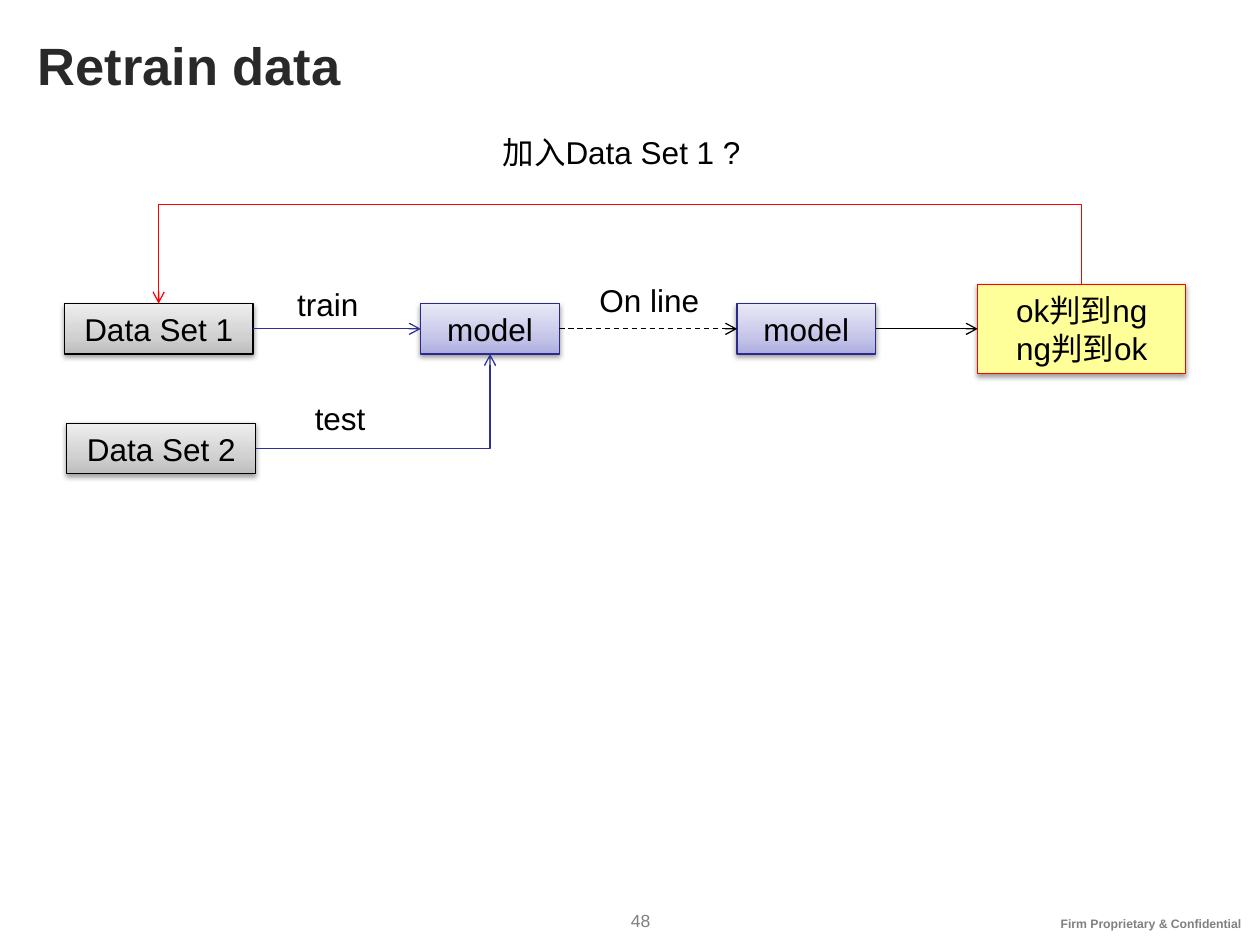
from dataclasses import dataclass

from lxml import etree
from pptx import Presentation
from pptx.dml.color import RGBColor
from pptx.enum.dml import MSO_LINE
from pptx.enum.shapes import MSO_CONNECTOR, MSO_SHAPE
from pptx.enum.text import MSO_ANCHOR, PP_ALIGN
from pptx.oxml import parse_xml
from pptx.oxml.ns import qn
from pptx.util import Inches, Pt

CENTER, LEFT = PP_ALIGN.CENTER, PP_ALIGN.LEFT
TOP_ANCHOR, MIDDLE = MSO_ANCHOR.TOP, MSO_ANCHOR.MIDDLE
STRAIGHT, ELBOW = MSO_CONNECTOR.STRAIGHT, MSO_CONNECTOR.ELBOW
RECTANGLE, DASH = MSO_SHAPE.RECTANGLE, MSO_LINE.DASH
TOP, LEFT_SIDE, BOTTOM, RIGHT_SIDE = range(4)
DRAWING = "http://schemas.openxmlformats.org/drawingml/2006/main"


@dataclass(frozen=True)
class Theme:
    """Colours, font and type sizes of the slide."""
    font: str = "Arial"
    title: str = "292929"
    body: str = "000000"
    muted: str = "808080"
    data_line: str = "000000"
    model_line: str = "2A2A89"
    flow: str = "2F2F98"
    alert: str = "FF0000"
    data_fill: tuple = ("BDBDBD", "D1D1D1", "EEEEEE")
    model_fill: tuple = ("ADADE1", "C6C6E9", "E9E9F7")
    result_fill: tuple = ("FFFF99",)
    title_size: int = 30
    body_size: int = 18
    number_size: int = 10
    footer_size: int = 7
    line_width: float = 0.75


THEME = Theme()


def write(shape, lines, size=THEME.body_size, color=THEME.body, bold=False,
          align=LEFT, anchor=TOP_ANCHOR, wrap=True):
    """Fill a shape with one paragraph per line."""
    frame = shape.text_frame
    frame.word_wrap = wrap
    frame.vertical_anchor = anchor
    frame.text = "\n".join(lines)
    for para in frame.paragraphs:
        para.alignment = align
        para.font.name = THEME.font
        para.font.size = Pt(size)
        para.font.bold = bold
        para.font.color.rgb = RGBColor.from_string(color)


def add_text(page, box, text, **style):
    """Add a text box at box (left, top, width, height)."""
    write(page.shapes.add_textbox(*map(Inches, box)), [text], **style)


def paint(shape, colors):
    """Fill a shape with one colour or an upward three-stop gradient."""
    if len(colors) == 1:
        shape.fill.solid()
        shape.fill.fore_color.rgb = RGBColor.from_string(colors[0])
        return
    stops = "".join(f'<a:gs pos="{position}"><a:srgbClr val="{color}"/></a:gs>'
                    for position, color in zip((0, 35000, 100000), colors))
    gradient = parse_xml(f'<a:gradFill xmlns:a="{DRAWING}" rotWithShape="1"><a:gsLst>{stops}'
                         '</a:gsLst><a:lin ang="16200000" scaled="0"/></a:gradFill>')
    shape.element.spPr.find(qn("a:prstGeom")).addnext(gradient)


def add_node(page, box, lines, colors, line_color):
    """Add a shadowed rectangle of the flow."""
    node = page.shapes.add_shape(RECTANGLE, *map(Inches, box))
    paint(node, colors)
    node.line.color.rgb = RGBColor.from_string(line_color)
    node.line.width = Pt(THEME.line_width)
    node.shadow.inherit = False
    node.element.spPr.find(qn("a:effectLst")).append(parse_xml(
        f'<a:outerShdw xmlns:a="{DRAWING}" blurRad="{Pt(3.1)}" dist="{Pt(1.6)}" dir="5400000" '
        'rotWithShape="0"><a:srgbClr val="000000"><a:alpha val="38000"/></a:srgbClr></a:outerShdw>'))
    write(node, lines, align=CENTER, anchor=MIDDLE)
    return node


def add_arrow(page, kind, start, start_side, end, end_side, color, dash=None):
    """Join two nodes with an open-headed arrow."""
    arrow = page.shapes.add_connector(kind, 0, 0, 0, 0)
    arrow.begin_connect(start, start_side)
    arrow.end_connect(end, end_side)
    arrow.line.color.rgb = RGBColor.from_string(color)
    arrow.line.width = Pt(THEME.line_width)
    if dash:
        arrow.line.dash_style = dash
    properties = arrow.element.spPr
    etree.SubElement(properties.find(qn("a:ln")), qn("a:tailEnd"), type="arrow")
    etree.SubElement(properties, qn("a:effectLst"))
    return arrow


def add_feedback(page, start, end, rise):
    """Lead an arrow from the top of start, over the flow, to the top of end."""
    arrow = add_arrow(page, ELBOW, start, TOP, end, TOP, THEME.alert)
    start_x, end_x = (node.left + node.width // 2 for node in (start, end))
    span, drop = start_x - end_x, end.top - start.top
    arrow.left = (start_x + end_x - drop) // 2
    arrow.top = (start.top + end.top - span) // 2
    arrow.width, arrow.height = drop, span
    properties = arrow.element.spPr
    frame = properties.find(qn("a:xfrm"))
    for name, value in (("rot", "16200000"), ("flipH", "1"), ("flipV", "1")):
        frame.set(name, value)
    guides = properties.find(qn("a:prstGeom")).find(qn("a:avLst"))
    bend = round(-Inches(rise) / drop * 100000)
    etree.SubElement(guides, qn("a:gd"), name="adj1", fmla=f"val {bend}")


def add_flow(page, box):
    """Draw the training flow inside box."""
    left, top, width, height = box
    row, node_height, data_width, model_width = top + 1.4, 0.4, 1.5, 1.1
    result_width, result_height = 1.65, 0.71

    def data_node(x, y, name):
        return add_node(page, (x, y, data_width, node_height), [name],
                        THEME.data_fill, THEME.data_line)

    def model_node(x):
        return add_node(page, (x, row, model_width, node_height), ["model"],
                        THEME.model_fill, THEME.model_line)

    first = data_node(left, row, "Data Set 1")
    second = data_node(left + 0.02, top + height - node_height, "Data Set 2")
    trained, online = model_node(left + 2.83), model_node(left + 5.34)
    result = add_node(page, (left + width - result_width,
                             row + (node_height - result_height) / 2,
                             result_width, result_height),
                      ["ok判到ng", "ng判到ok"], THEME.result_fill, THEME.alert)

    for start, end, color, dash in ((first, trained, THEME.flow, None),
                                    (trained, online, THEME.body, DASH),
                                    (online, result, THEME.body, None)):
        add_arrow(page, STRAIGHT, start, RIGHT_SIDE, end, LEFT_SIDE, color, dash)
    test = add_arrow(page, ELBOW, second, RIGHT_SIDE, trained, BOTTOM, THEME.flow)
    test.element.spPr.find(qn("a:prstGeom")).set("prst", "bentConnector2")
    add_feedback(page, result, first, 0.63)

    for x, y, label_width, label in ((1.75, 1.2, 1.02, "train"), (1.89, 2.11, 0.87, "test"),
                                     (4.15, 1.17, 1.1, "On line"),
                                     (3.38, 0, 2.36, "加入Data Set 1 ?")):
        add_text(page, (left + x, top + y, label_width, node_height), label)


def add_title(page, box):
    """Write the slide title."""
    add_text(page, box, "Retrain data", size=THEME.title_size, color=THEME.title, bold=True)


def add_footer(page, box):
    """Write the page number and the confidentiality line inside box."""
    left, top, width, height = box
    add_text(page, (left, top, 0.67, height), "48", size=THEME.number_size,
             color=THEME.muted, align=CENTER)
    add_text(page, (left + width - 1.65, top + 0.05, 1.65, 0.22),
             "Firm Proprietary & Confidential", size=THEME.footer_size,
             color=THEME.muted, bold=True, align=CENTER, wrap=False)


def main():
    """Build and save the deck."""
    deck = Presentation()
    deck.slide_width, deck.slide_height = Inches(10), Inches(7.5)
    page = deck.slides.add_slide(deck.slide_layouts[6])
    add_footer(page, (4.75, 7.17, 5.21, 0.27))
    add_title(page, (0.2, 0.21, 8.43, 1.25))
    add_flow(page, (0.51, 1.01, 8.9, 2.75))
    deck.save("out.pptx")


if __name__ == "__main__":
    main()
